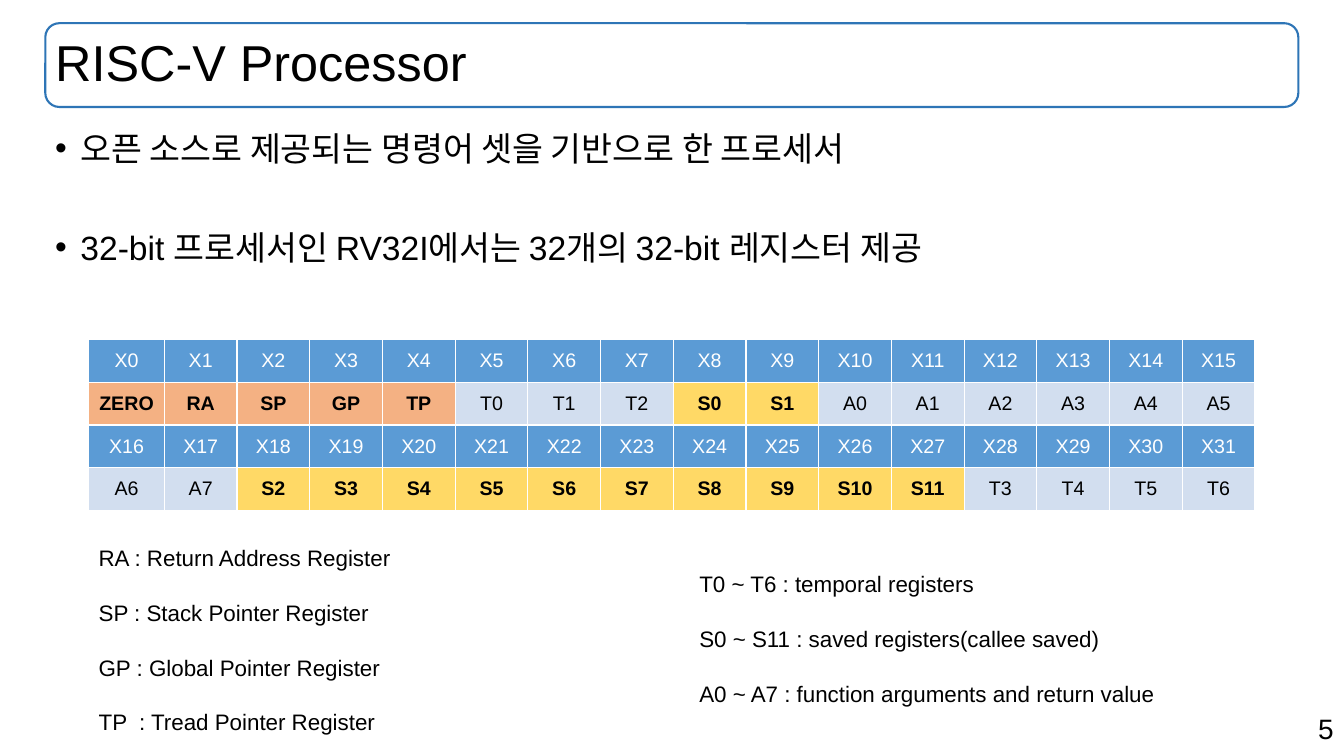
from lxml.etree import SubElement
from pptx import Presentation
from pptx.dml.color import RGBColor
from pptx.enum.shapes import MSO_SHAPE as Shape
from pptx.enum.text import MSO_ANCHOR as Anchor, PP_ALIGN as Align
from pptx.oxml.ns import qn
from pptx.util import Pt

TITLE = "RISC-V Processor"
PAGE_NUMBER = "5"
BULLETS = [
    "오픈 소스로 제공되는 명령어 셋을 기반으로 한 프로세서",
    "32-bit 프로세서인 RV32I에서는 32개의 32-bit 레지스터 제공",
]
REGISTER_NAMES = (
    "ZERO RA SP GP TP T0 T1 T2 S0 S1 A0 A1 A2 A3 A4 A5 "
    "A6 A7 S2 S3 S4 S5 S6 S7 S8 S9 S10 S11 T3 T4 T5 T6"
).split()
SPECIAL = {"ZERO", "RA", "SP", "GP", "TP"}
SPECIAL_LEGEND = [
    "RA : Return Address Register",
    "SP : Stack Pointer Register",
    "GP : Global Pointer Register",
    "TP  : Tread Pointer Register",
]
GROUP_LEGEND = [
    "T0 ~ T6 : temporal registers",
    "S0 ~ S11 : saved registers(callee saved)",
    "A0 ~ A7 : function arguments and return value",
]

FONT = "Arial"
BLACK = RGBColor(0x00, 0x00, 0x00)
WHITE = RGBColor(0xFF, 0xFF, 0xFF)
FRAME_BLUE = RGBColor(0x2E, 0x75, 0xB6)
HEADER_BLUE = RGBColor(0x5B, 0x9B, 0xD5)
PALE_BLUE = RGBColor(0xD2, 0xDE, 0xEF)
ORANGE = RGBColor(0xF4, 0xB1, 0x83)
YELLOW = RGBColor(0xFF, 0xD9, 0x66)

PER_TABLE = 16
TABLE_LEFT, TABLE_TOP = 63.4, 242.6
FIRST_COLUMN, COLUMN, ROW = 54, 51.94, 30.45
TITLE_AREA = (32.4, 16.6, 895, 59.8)


def write(frame, lines, size, color=BLACK, bold=False, align=Align.LEFT,
          line_spacing=None, gap=0, bullet=False):
    """Fill a text frame with one paragraph per line, gap points apart."""
    for index, line in enumerate(lines):
        para = frame.paragraphs[0] if index == 0 else frame.add_paragraph()
        para.alignment = align
        if line_spacing:
            para.line_spacing = line_spacing
        if index:
            para.space_before = Pt(gap)
        if bullet:
            properties = para._p.get_or_add_pPr()
            properties.set("marL", str(Pt(18)))
            properties.set("indent", str(-Pt(18)))
            SubElement(properties, qn("a:buFont"), typeface=FONT)
            SubElement(properties, qn("a:buChar"), char="•")
        span = para.add_run()
        span.text = line
        span.font.name = FONT
        span.font.size = Pt(size)
        span.font.bold = bold
        span.font.color.rgb = color


def add_text(page, area, lines, size, anchor=Anchor.TOP, wrap=True, **style):
    box = page.shapes.add_textbox(*map(Pt, area))
    box.text_frame.word_wrap = wrap
    box.text_frame.vertical_anchor = anchor
    write(box.text_frame, lines, size, **style)


def fill_cell(cell, text, fill, color=BLACK, bold=False):
    cell.vertical_anchor = Anchor.MIDDLE
    write(cell.text_frame, [text], 14, color=color, bold=bold, align=Align.CENTER)
    properties = cell._tc.get_or_add_tcPr()
    for side in ("lnL", "lnR", "lnT", "lnB"):
        border = SubElement(properties, qn(f"a:{side}"), w=str(Pt(1)))
        paint = SubElement(border, qn("a:solidFill"))
        SubElement(paint, qn("a:srgbClr"), val=str(WHITE))
    cell.fill.solid()
    cell.fill.fore_color.rgb = fill


def name_fill(name):
    if name in SPECIAL:
        return ORANGE
    return YELLOW if name.startswith("S") else PALE_BLUE


def add_register_table(page, first):
    """Add the table of the registers numbered from first."""
    top = TABLE_TOP + first // PER_TABLE * 2 * ROW
    width = FIRST_COLUMN + (PER_TABLE - 1) * COLUMN
    table = page.shapes.add_table(
        2, PER_TABLE, Pt(TABLE_LEFT), Pt(top), Pt(width), Pt(2 * ROW)).table
    for row in table.rows:
        row.height = Pt(ROW)
    for index, column in enumerate(table.columns):
        column.width = Pt(COLUMN if index else FIRST_COLUMN)
        name = REGISTER_NAMES[first + index]
        fill = name_fill(name)
        fill_cell(table.cell(0, index), f"X{first + index}", HEADER_BLUE, color=WHITE)
        fill_cell(table.cell(1, index), name, fill, bold=fill != PALE_BLUE)


def main():
    deck = Presentation()
    deck.slide_width, deck.slide_height = Pt(960), Pt(540)
    page = deck.slides.add_slide(deck.slide_layouts[6])

    add_text(page, (679, 504.7, 280.8, 31.7), [PAGE_NUMBER], 20, align=Align.RIGHT)
    frame = page.shapes.add_shape(Shape.ROUNDED_RECTANGLE, *map(Pt, TITLE_AREA))
    frame.shadow.inherit = False
    frame.fill.background()
    frame.line.color.rgb = FRAME_BLUE
    frame.line.width = Pt(1.5)
    add_text(page, TITLE_AREA, [TITLE], 36, anchor=Anchor.MIDDLE, line_spacing=0.9)
    add_text(page, (32.4, 90.7, 895, 398), BULLETS, 24,
             line_spacing=0.9, gap=45, bullet=True)
    for first in range(0, len(REGISTER_NAMES), PER_TABLE):
        add_register_table(page, first)
    add_text(page, (63.4, 385.2, 225.4, 143.3), SPECIAL_LEGEND, 16, wrap=False, gap=19.9)
    add_text(page, (492.5, 403.9, 348.5, 104.4), GROUP_LEGEND, 16, wrap=False, gap=19.9)

    deck.save("out.pptx")


if __name__ == "__main__":
    main()
